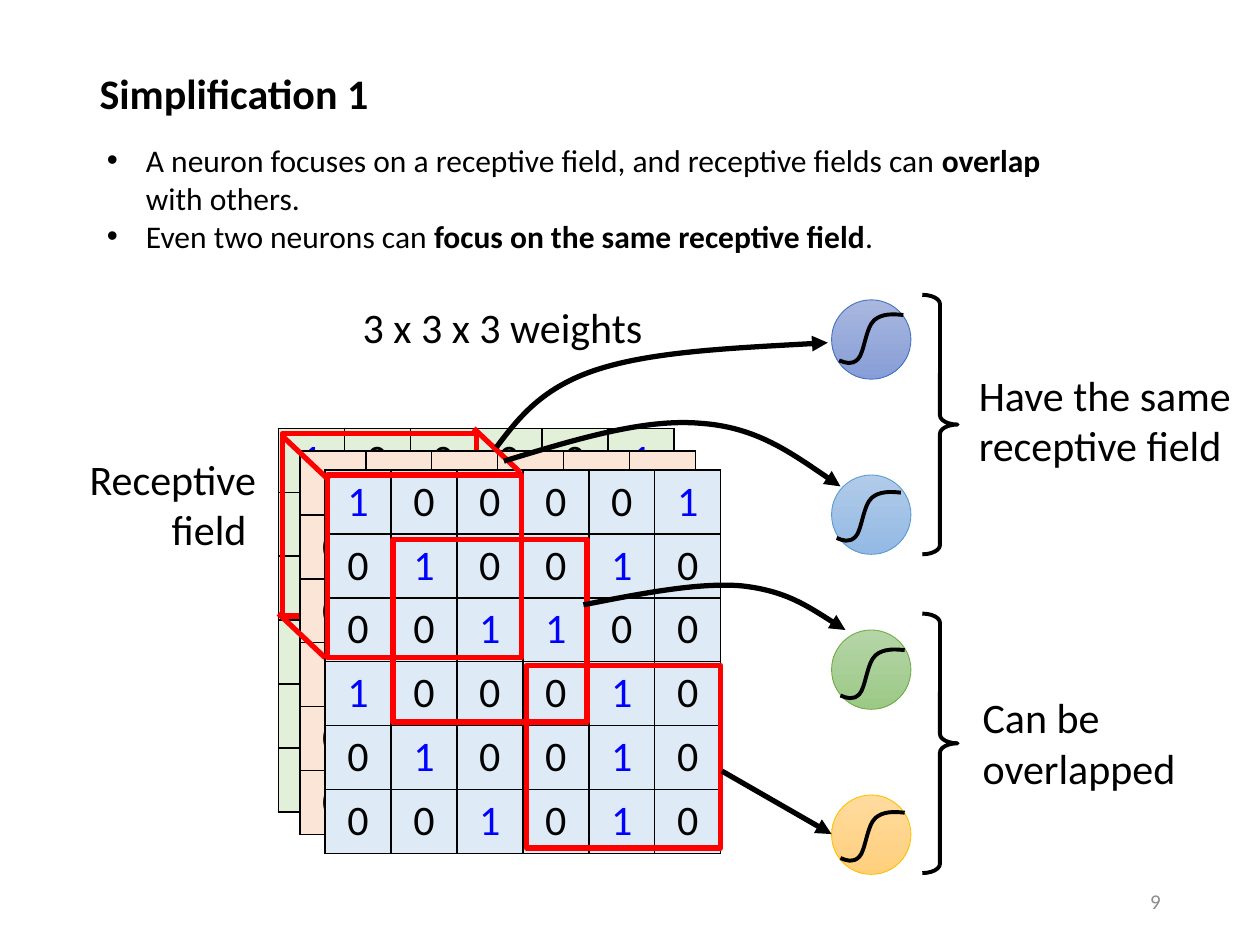
from pptx import Presentation
from pptx.dml.color import RGBColor
from pptx.enum.shapes import MSO_CONNECTOR, MSO_SHAPE
from pptx.enum.text import MSO_ANCHOR, PP_ALIGN
from pptx.oxml.ns import qn
from pptx.util import Inches, Pt
from lxml import etree

LEFT, CENTER, RIGHT = PP_ALIGN.LEFT, PP_ALIGN.CENTER, PP_ALIGN.RIGHT
MIDDLE = MSO_ANCHOR.MIDDLE
STRAIGHT = MSO_CONNECTOR.STRAIGHT
RECTANGLE, OVAL, BRACE = MSO_SHAPE.RECTANGLE, MSO_SHAPE.OVAL, MSO_SHAPE.RIGHT_BRACE

FONT = "Calibri"
BLACK = RGBColor(0, 0, 0)
BLUE = RGBColor(0, 0, 0xFF)
RED = RGBColor(0xFF, 0, 0)
GRAY = RGBColor(0x8C, 0x8C, 0x8C)
GREEN_CELL = RGBColor(0xE2, 0xF0, 0xD9)
ORANGE_CELL = RGBColor(0xFB, 0xE5, 0xD6)
BLUE_CELL = RGBColor(0xDE, 0xEB, 0xF7)

PIXELS = ["100001", "010010", "001100", "100010", "010010", "001010"]
FIELD_W, FIELD_H = 1.54, 1.45
NEURON_X, NEURON_SIZE = 6.6, 0.63
NEURONS = [
    (2.38, 0.06, 0.12, RGBColor(0xA8, 0xB7, 0xDF), RGBColor(0x88, 0x9E, 0xD7), RGBColor(0x44, 0x72, 0xC4)),
    (3.77, 0.04, 0.14, RGBColor(0xB1, 0xCB, 0xE9), RGBColor(0x93, 0xB9, 0xE4), RGBColor(0x5B, 0x9B, 0xD5)),
    (5.0, 0.07, 0.16, RGBColor(0xB5, 0xD5, 0xA7), RGBColor(0x9C, 0xC9, 0x87), RGBColor(0x70, 0xAD, 0x47)),
    (6.31, 0.07, 0.14, RGBColor(0xFF, 0xDB, 0x9E), RGBColor(0xFF, 0xD0, 0x7C), RGBColor(0xFF, 0xC0, 0)),
]
SIGMOID = [(0.51, 0), (0.42, -0.01), (0.34, -0.01), (0.28, 0.04), (0.21, 0.1),
           (0.2, 0.3), (0.15, 0.35), (0.1, 0.4), (0.05, 0.38), (0, 0.36)]
ARROWS = [
    [(3.94, 3.55), (4.12, 3.31), (4.31, 3.07), (4.75, 2.93), (5.19, 2.79), (5.88, 2.76), (6.57, 2.72)],
    [(4, 3.66), (4.56, 3.49), (5.11, 3.32), (5.56, 3.36), (6, 3.39), (6.33, 3.63), (6.67, 3.86)],
    [(4.63, 4.8), (5.09, 4.71), (5.55, 4.62), (5.89, 4.65), (6.24, 4.69), (6.47, 4.85), (6.71, 5)],
]
BULLETS = [
    [("A neuron focuses on a receptive field, and receptive fields can ", False),
     ("overlap", True), (" with others.", False)],
    [("Even two neurons can ", False), ("focus on the same receptive field", True), (".", False)],
]


def set_font(font, size, color=BLACK, bold=None):
    font.name, font.size, font.bold = FONT, Pt(size), bold
    font.color.rgb = color


def set_line(shape, color, width, arrow=False):
    shape.line.color.rgb = color
    shape.line.width = Pt(width)
    if arrow:
        etree.SubElement(shape.line._get_or_add_ln(), qn("a:tailEnd"), type="triangle")


def add_text(s, box, text, size=24, align=LEFT, color=BLACK):
    tf = s.shapes.add_textbox(*map(Inches, box)).text_frame
    tf.word_wrap = True
    p = tf.paragraphs[0]
    p.text, p.alignment = text, align
    set_font(p.font, size, color)
    return tf


def add_outline(s, kind, box, color, width):
    shape = s.shapes.add_shape(kind, *map(Inches, box))
    shape.shadow.inherit = False
    shape.fill.background()
    set_line(shape, color, width)
    return shape


def add_line(s, start, end, color, arrow=False):
    line = s.shapes.add_connector(STRAIGHT, *map(Inches, start + end))
    set_line(line, color, 3, arrow)
    etree.SubElement(line._element.spPr, qn("a:effectLst"))


def add_curve(s, points, width, arrow=False):
    start, *rest = [(Inches(x), Inches(y)) for x, y in points]
    builder = s.shapes.build_freeform(*start)
    builder.add_line_segments(rest, close=False)
    curve = builder.convert_to_shape()
    outline = next(curve._element.iter(qn("a:path")))
    segments = outline.findall(qn("a:lnTo"))
    for i in range(0, len(segments), 3):
        bezier = etree.SubElement(outline, qn("a:cubicBezTo"))
        for segment in segments[i:i + 3]:
            bezier.append(segment[0])
            outline.remove(segment)
    curve.shadow.inherit = False
    curve.fill.background()
    set_line(curve, BLACK, width, arrow)


def add_border(cell):
    tc_pr = cell._tc.get_or_add_tcPr()
    for side in ("a:lnL", "a:lnR", "a:lnT", "a:lnB"):
        ln = etree.SubElement(tc_pr, qn(side), w=str(Pt(1)))
        fill = etree.SubElement(ln, qn("a:solidFill"))
        etree.SubElement(fill, qn("a:srgbClr"), val=str(BLACK))


def add_channel(s, box, fill):
    table = s.shapes.add_table(6, 6, *map(Inches, box)).table
    table.first_row = table.horz_banding = False
    for r, digits in enumerate(PIXELS):
        for c, digit in enumerate(digits):
            cell = table.cell(r, c)
            add_border(cell)
            cell.fill.solid()
            cell.fill.fore_color.rgb = fill
            p = cell.text_frame.paragraphs[0]
            p.text, p.alignment = digit, CENTER
            set_font(p.font, 24, BLUE if digit == "1" else BLACK)


def add_neuron(s, box, dx, dy, top_color, bottom_color, edge):
    body = add_outline(s, OVAL, box, edge, 0.5)
    body.fill.gradient()
    body.fill.gradient_angle = 270
    for stop, color in zip(body.fill.gradient_stops, (top_color, bottom_color)):
        stop.color.rgb = color
    add_curve(s, [(box[0] + dx + x, box[1] + dy + y) for x, y in SIGMOID], 2.25)


def add_title(s, box):
    title = s.shapes.title
    title.left, title.top, title.width, title.height = map(Inches, box)
    tf = title.text_frame
    tf.vertical_anchor = MIDDLE
    p = tf.paragraphs[0]
    p.text, p.alignment, p.line_spacing = "Simplification 1", LEFT, 0.9
    set_font(p.font, 24, bold=True)


def add_bullets(s, box):
    tf = s.shapes.add_textbox(*map(Inches, box)).text_frame
    tf.word_wrap = True
    for i, runs in enumerate(BULLETS):
        p = tf.add_paragraph() if i else tf.paragraphs[0]
        p_pr = p._p.get_or_add_pPr()
        p_pr.set("marL", str(Inches(0.31)))
        p_pr.set("indent", str(-Inches(0.31)))
        etree.SubElement(p_pr, qn("a:buFont"), typeface="Arial")
        etree.SubElement(p_pr, qn("a:buChar"), char="•")
        set_font(p.font, 18)
        for text, bold in runs:
            r = p.add_run()
            r.text, r.font.bold = text, bold


def add_image_stack(s, left, top):
    add_channel(s, (left, top, 3.14, 3), GREEN_CELL)
    add_outline(s, RECTANGLE, (left + 0.03, top + 0.04, FIELD_W, FIELD_H), RED, 3)
    add_channel(s, (left + 0.17, top + 0.18, 3.14, 3), ORANGE_CELL)
    add_channel(s, (left + 0.37, top + 0.33, 3.14, 3), BLUE_CELL)
    for dx, dy in ((0.39, 0.37), (0.91, 0.88), (1.97, 1.88)):
        add_outline(s, RECTANGLE, (left + dx, top + dy, FIELD_W, FIELD_H), RED, 3)
    for dx, dy in ((0, 1.47), (1.55, 0), (0.03, 0.06)):
        x, y = left + dx, top + dy
        add_line(s, (x, y), (x + 0.37, y + 0.35), RED)


def add_group_label(s, box, text, text_box):
    brace = add_outline(s, BRACE, box, BLACK, 2.25)
    brace.adjustments[0] = 0.262
    add_text(s, text_box, text)


def main():
    prs = Presentation()
    prs.slide_width, prs.slide_height = Inches(10), Inches(7.5)
    s = prs.slides.add_slide(prs.slide_layouts[5])
    add_title(s, (0.69, 0.4, 8.62, 0.72))
    add_image_stack(s, 2.21, 3.4)
    for top, *style in NEURONS:
        add_neuron(s, (NEURON_X, top, NEURON_SIZE, NEURON_SIZE), *style)
    for points in ARROWS:
        add_curve(s, points, 3, arrow=True)
    add_line(s, (5.73, 6.12), (6.6, 6.62), BLACK, arrow=True)
    add_text(s, (2.78, 2.34, 2.43, 0.5), "3 x 3 x 3 weights")
    add_text(s, (0.59, 3.55, 1.54, 0.91), "Receptive field ", align=RIGHT)
    add_group_label(s, (7.32, 2.34, 0.28, 2.06), "Have the same receptive field", (7.67, 2.88, 2.44, 0.91))
    add_group_label(s, (7.32, 4.87, 0.28, 2.06), "Can be overlapped", (7.7, 5.44, 1.98, 0.91))
    add_bullets(s, (0.75, 1.07, 7.92, 1.31))
    number = add_text(s, (7.06, 6.95, 2.25, 0.4), "9", 12, RIGHT, GRAY)
    number.vertical_anchor = MIDDLE
    prs.save("out.pptx")


if __name__ == "__main__":
    main()
